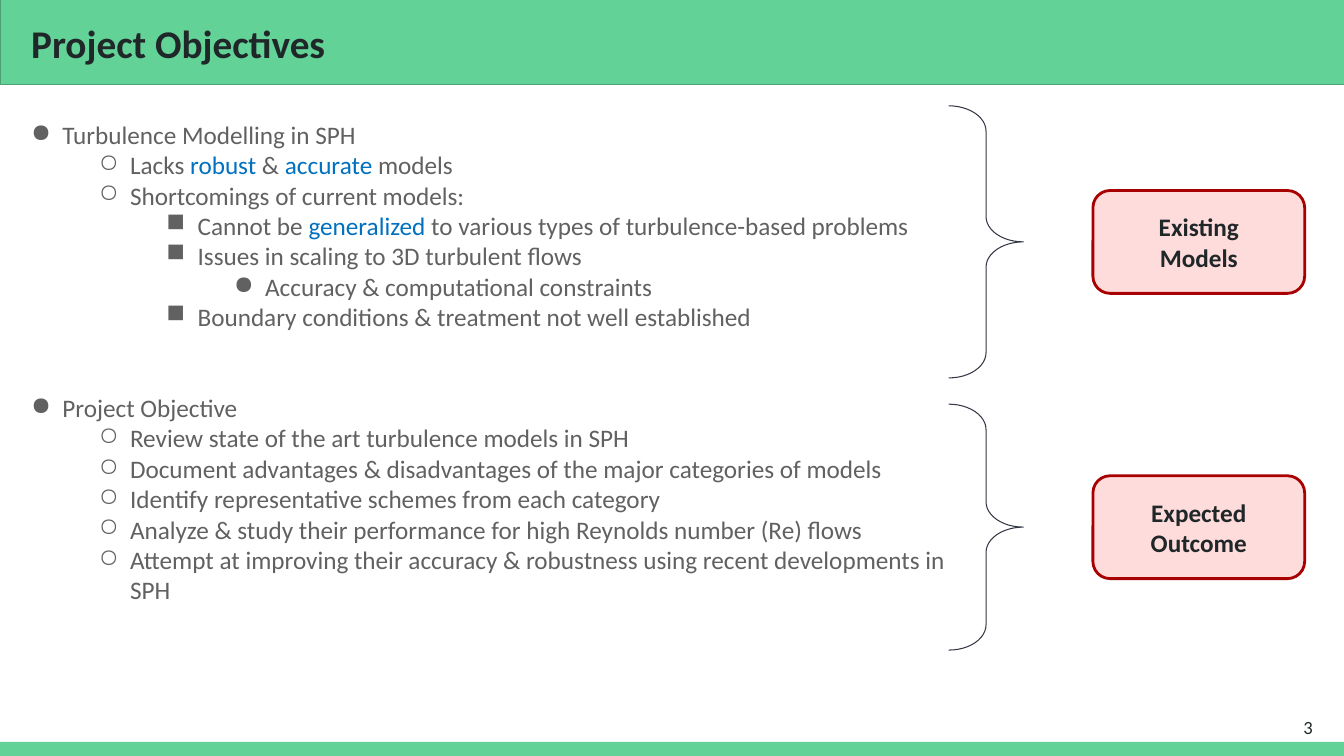
from dataclasses import dataclass

from lxml.etree import SubElement
from pptx import Presentation
from pptx.dml.color import RGBColor
from pptx.enum.shapes import MSO_SHAPE
from pptx.enum.text import MSO_ANCHOR, PP_ALIGN
from pptx.oxml.ns import qn
from pptx.shapes.autoshape import Shape
from pptx.slide import Slide
from pptx.text.text import TextFrame, _Paragraph
from pptx.util import Inches, Pt

GREEN = RGBColor(0x63, 0xD2, 0x97)
EDGE = RGBColor(0x4B, 0xA1, 0x73)
GREY = RGBColor(0x61, 0x61, 0x61)
BLUE = RGBColor(0x00, 0x70, 0xC0)
INK = RGBColor(0x20, 0x27, 0x29)
SLATE = RGBColor(0x33, 0x36, 0x43)
PINK = RGBColor(0xFF, 0xDC, 0xDC)
RED = RGBColor(0xA8, 0x00, 0x00)
FONT = "Calibri"
MARKS = "●○■●"


@dataclass
class Item:
    level: int
    text: str
    gap: float = 0


@dataclass
class Group:
    lines: list[str]
    brace_top: float
    brace_high: float
    box_top: float


ITEMS = [
    Item(0, "Turbulence Modelling in SPH"),
    Item(1, "Lacks *robust* & *accurate* models"),
    Item(1, "Shortcomings of current models:"),
    Item(2, "Cannot be *generalized* to various types of turbulence-based problems"),
    Item(2, "Issues in scaling to 3D turbulent flows"),
    Item(3, "Accuracy & computational constraints"),
    Item(2, "Boundary conditions & treatment not well established"),
    Item(0, "Project Objective", 43.2),
    Item(1, "Review state of the art turbulence models in SPH"),
    Item(1, "Document advantages & disadvantages of the major categories of models"),
    Item(1, "Identify representative schemes from each category"),
    Item(1, "Analyze & study their performance for high Reynolds number (Re) flows"),
    Item(1, "Attempt at improving their accuracy & robustness using recent "
            "developments in SPH"),
]
GROUPS = [
    Group(["Existing", "Models"], 1.05, 2.7, 1.89),
    Group(["Expected", "Outcome"], 4.01, 2.44, 4.72),
]


def style(para: _Paragraph, size: float, color: RGBColor, bold: bool = False) -> None:
    """Set the font of a paragraph."""
    font = para.font
    font.name, font.size, font.bold = FONT, Pt(size), bold
    font.color.rgb = color


def pad(frame: TextFrame) -> None:
    """Wrap a frame and give it equal insets."""
    frame.word_wrap = True
    frame.margin_left = frame.margin_right = Inches(0.13)
    frame.margin_top = frame.margin_bottom = Inches(0.13)


def add_form(slide: Slide, kind: MSO_SHAPE, left: float, top: float, wide: float,
             high: float, fill: RGBColor | None, line: RGBColor | None,
             width: float = 0.75) -> Shape:
    """Draw a preset shape with optional fill and line."""
    form = slide.shapes.add_shape(
        kind, Inches(left), Inches(top), Inches(wide), Inches(high))
    form.shadow.inherit = False
    if fill is None:
        form.fill.background()
    else:
        form.fill.solid()
        form.fill.fore_color.rgb = fill
    if line is None:
        form.line.fill.background()
    else:
        form.line.color.rgb = line
        form.line.width = Pt(width)
    return form


def add_item(para: _Paragraph, item: Item) -> None:
    """Write one bullet, with starred words in blue."""
    props = para._p.get_or_add_pPr()
    props.set("lvl", str(item.level))
    props.set("marL", str(Inches(0.31 + 0.67 * item.level)))
    props.set("indent", str(Inches(-0.31)))
    color = SubElement(props, qn("a:buClr"))
    SubElement(color, qn("a:srgbClr")).set("val", str(GREY))
    SubElement(props, qn("a:buChar")).set("char", MARKS[item.level])
    style(para, 18, GREY)
    para.line_spacing = Pt(21.7)
    if item.gap:
        para.space_before = Pt(item.gap)
    for spot, part in enumerate(item.text.split("*")):
        run = para.add_run()
        run.text = part
        if spot % 2:
            run.font.color.rgb = BLUE


def add_title(slide: Slide) -> None:
    """Place the title above its green band."""
    add_form(slide, MSO_SHAPE.RECTANGLE, 0.01, 0, 13.33, 0.84, GREEN, EDGE)
    title = slide.shapes.title
    title.left, title.top = Inches(0.18), Inches(0)
    title.width, title.height = Inches(12.98), Inches(0.84)
    slide.shapes.element.append(title.element)
    frame = title.text_frame
    frame.text = "Project Objectives"
    frame.vertical_anchor = MSO_ANCHOR.MIDDLE
    pad(frame)
    frame.paragraphs[0].alignment = PP_ALIGN.LEFT
    style(frame.paragraphs[0], 28, INK, True)


def add_list(slide: Slide) -> None:
    """Write the bullet list."""
    box = slide.shapes.add_textbox(
        Inches(0.18), Inches(1.05), Inches(9.52), Inches(5.96))
    frame = box.text_frame
    pad(frame)
    for spot, item in enumerate(ITEMS):
        add_item(frame.add_paragraph() if spot else frame.paragraphs[0], item)


def add_group(slide: Slide, group: Group) -> None:
    """Draw a brace and its labelled box."""
    brace = add_form(slide, MSO_SHAPE.RIGHT_BRACE, 9.41, group.brace_top,
                     0.74, group.brace_high, None, SLATE)
    brace.adjustments[0] = 0.34
    box = add_form(slide, MSO_SHAPE.ROUNDED_RECTANGLE, 10.84, group.box_top,
                   2.1, 1.02, PINK, RED, 2)
    frame = box.text_frame
    frame.text = "\n".join(group.lines)
    frame.vertical_anchor = MSO_ANCHOR.MIDDLE
    for para in frame.paragraphs:
        para.alignment = PP_ALIGN.CENTER
        style(para, 18, INK, True)


def add_number(slide: Slide) -> None:
    """Write the slide number."""
    box = slide.shapes.add_textbox(
        Inches(12.35), Inches(6.93), Inches(0.8), Inches(0.57))
    frame = box.text_frame
    frame.text = "3"
    frame.vertical_anchor = MSO_ANCHOR.MIDDLE
    pad(frame)
    frame.paragraphs[0].alignment = PP_ALIGN.RIGHT
    style(frame.paragraphs[0], 13.3, INK)


def main() -> None:
    """Build and save the slide."""
    deck = Presentation()
    deck.slide_width, deck.slide_height = Inches(13.33), Inches(7.5)
    slide = deck.slides.add_slide(deck.slide_layouts[5])
    add_form(slide, MSO_SHAPE.RECTANGLE, 0, 7.36, 13.33, 0.14, GREEN, None)
    add_list(slide)
    add_title(slide)
    add_number(slide)
    for group in GROUPS:
        add_group(slide, group)
    deck.save("out.pptx")


if __name__ == "__main__":
    main()
